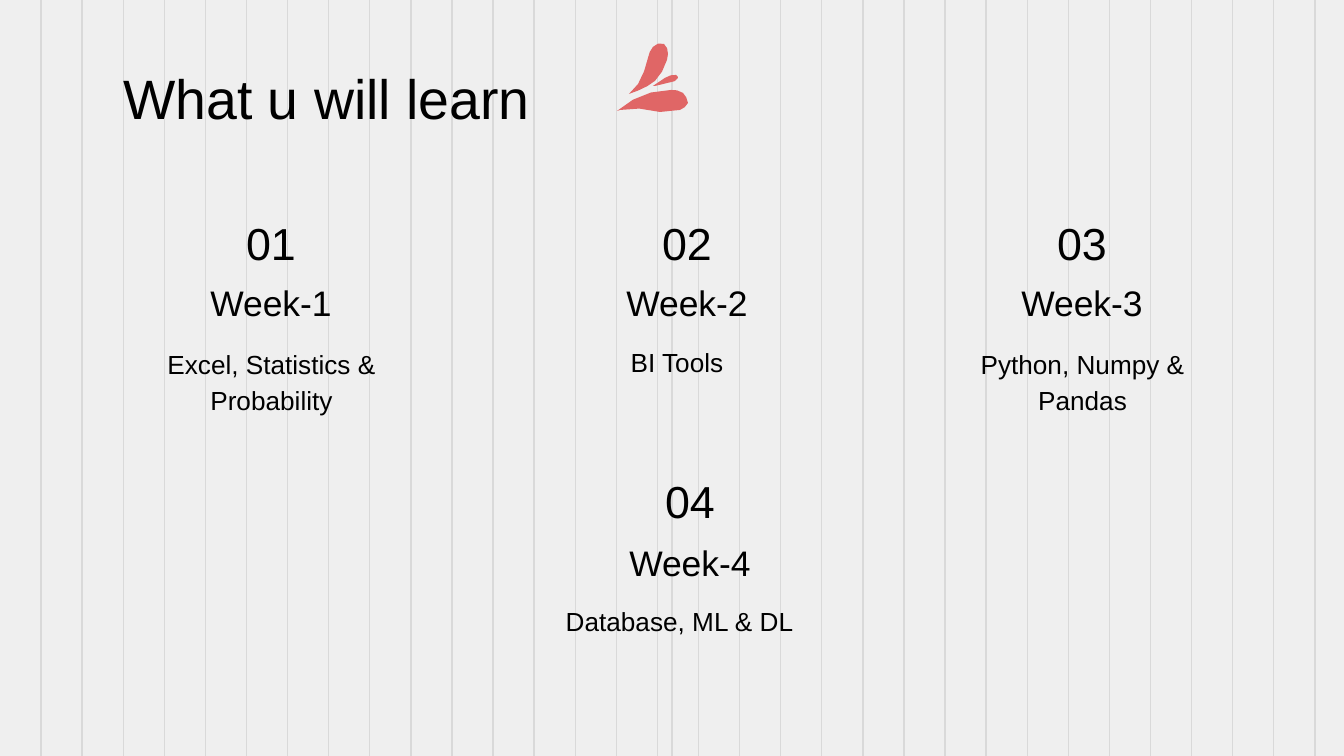
from lxml import etree
from pptx import Presentation, util as u
from pptx.dml.color import RGBColor
from pptx.enum import shapes, text
from pptx.oxml.ns import qn

PX = 9144000 / 1344
BLACK, GREY, RED = "000000", "D9D9D9", "E06666"


def paint(fmt, color):
    """Give a fill a solid hex colour."""
    fmt.solid()
    fmt.fore_color.rgb = RGBColor.from_string(color)


def add_text(box, words, size, align=text.PP_ALIGN.CENTER,
             anchor=text.MSO_ANCHOR.TOP):
    """Add a text box; box is left, top, width, height in px."""
    tf = s.shapes.add_textbox(*[round(v * PX) for v in box]).text_frame
    tf.word_wrap = True
    tf.vertical_anchor = anchor
    tf.margin_left = tf.margin_right = round(13 * PX)
    tf.margin_top = tf.margin_bottom = round(13 * PX)
    tf.text = words
    p = tf.paragraphs[0]
    p.alignment = align
    r = p.runs[0]
    r.font.name = "Arial"
    r.font.size = u.Pt(size)
    paint(r.font.fill, BLACK)
    return p


prs = Presentation()
prs.slide_width, prs.slide_height = round(1344 * PX), round(756 * PX)
s = prs.slides.add_slide(prs.slide_layouts[6])
paint(s.background.fill, "EFEFEF")

# Evenly spaced stripes, then one in the middle of the slide
stripes = [i * 41.09 for i in range(1, 33)] + [672]
for x in stripes:
    line = s.shapes.add_connector(shapes.MSO_CONNECTOR.STRAIGHT,
                                  round(x * PX), 0, round(x * PX), prs.slide_height)
    line.line.width = u.Pt(0.75)
    paint(line.line.fill, GREY)
    etree.SubElement(line._element.spPr, qn("a:effectLst"))

add_text((110, 51, 1134, 85), "What u will learn", 29.7, text.PP_ALIGN.LEFT)

# Centre, top of the number, top of the week, width of the week, topic, box of the topic
weeks = [
    (271, 198, 268, 301, "Excel, Statistics & Probability", (112, 331, 319, 85)),
    (687, 198, 268, 301, "BI Tools", (489, 329, 376, 85)),
    (1082, 198, 268, 301, "Python, Numpy & Pandas", (923, 331, 319, 85)),
    (690, 456, 528, 343, "Database, ML & DL", (510, 588, 339, 85)),
]
for n, (center, number_top, week_top, week_width, topic, topic_box) in enumerate(weeks, 1):
    add_text((center - 74, number_top, 148, 85), f"{n:02}", 24,
             anchor=text.MSO_ANCHOR.BOTTOM)
    add_text((center - week_width / 2, week_top, week_width, 85), f"Week-{n}", 19)
    p = add_text(topic_box, topic, 14)
    p.line_spacing = 1.15
    p.space_after = u.Pt(12)

# Each leaf: start point, then line ends (2 numbers) or Bezier curves (6 numbers)
leaves = [
    [(688, 103), (688, 99, 685, 95, 683, 93), (679, 90, 675, 90, 671, 90),
     (650, 90, 632, 98, 617, 111), (620, 110), (638, 103, 661, 118, 680, 110),
     (683, 109, 687, 106, 688, 103)],
    [(667, 60), (667, 59, 668, 56, 668, 54), (668, 50, 667, 46, 664, 44),
     (660, 42, 656, 44, 653, 47), (650, 50, 649, 54, 648, 58),
     (645, 71, 640, 86, 629, 94), (638, 91, 648, 87, 655, 81),
     (660, 75, 665, 69, 667, 60)],
    [(678, 78), (678, 77, 678, 76, 676, 75), (673, 74, 669, 76, 665, 78),
     (653, 86), (655, 86), (660, 85, 667, 83, 672, 82),
     (674, 82, 676, 81, 678, 78)],
]
for start, *segments in leaves:
    points = [start]
    for seg in segments:
        if len(seg) == 2:
            points.append(seg)
            continue
        x0, y0 = points[-1]
        x1, y1, x2, y2, x3, y3 = seg
        steps = 3 if abs(x3 - x0) > 12 else 2
        for i in range(1, steps + 1):
            t = i / steps
            a, b, c, d = (1 - t) ** 3, 3 * t * (1 - t) ** 2, 3 * t * t * (1 - t), t ** 3
            points.append((a * x0 + b * x1 + c * x2 + d * x3,
                           a * y0 + b * y1 + c * y2 + d * y3))
    points = [(round(x * PX), round(y * PX)) for x, y in points]
    outline = s.shapes.build_freeform(*points[0])
    outline.add_line_segments(points[1:-1], close=True)
    leaf = outline.convert_to_shape()
    leaf.shadow.inherit = False
    paint(leaf.fill, RED)
    leaf.line.fill.background()

prs.save("out.pptx")
